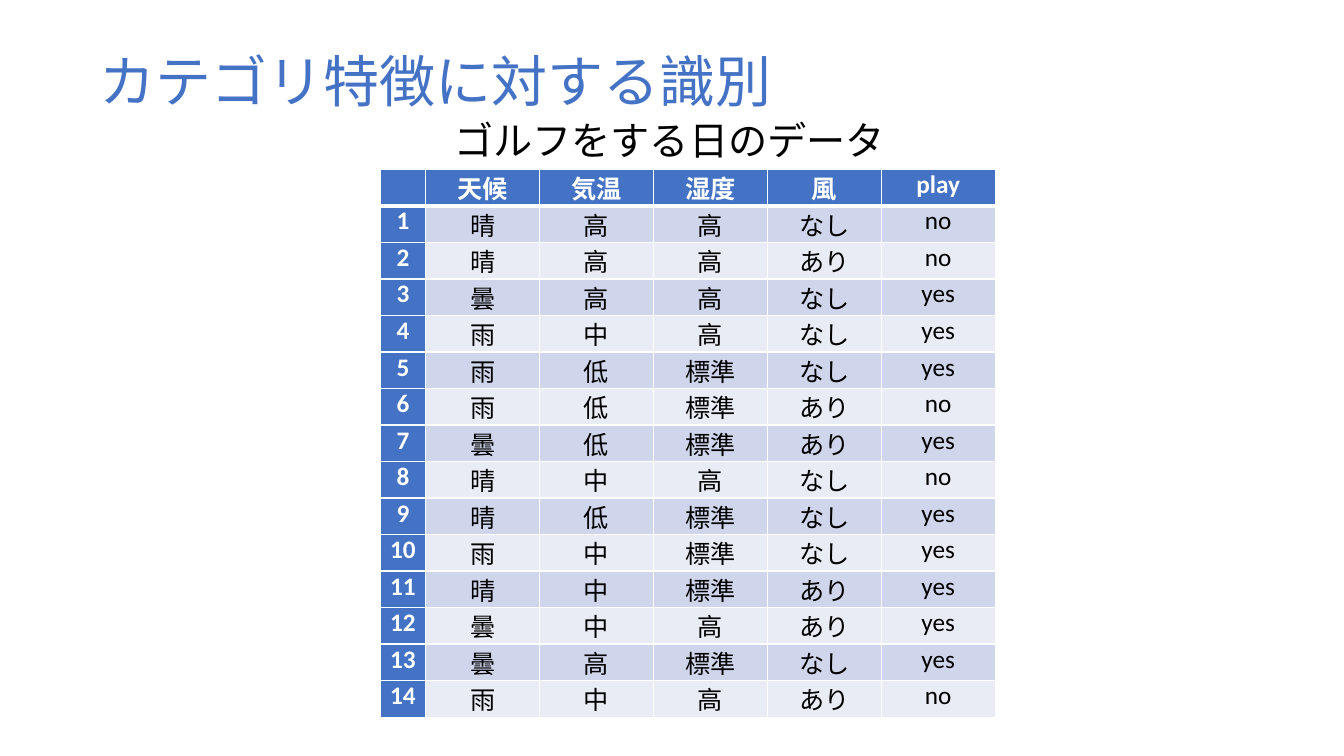
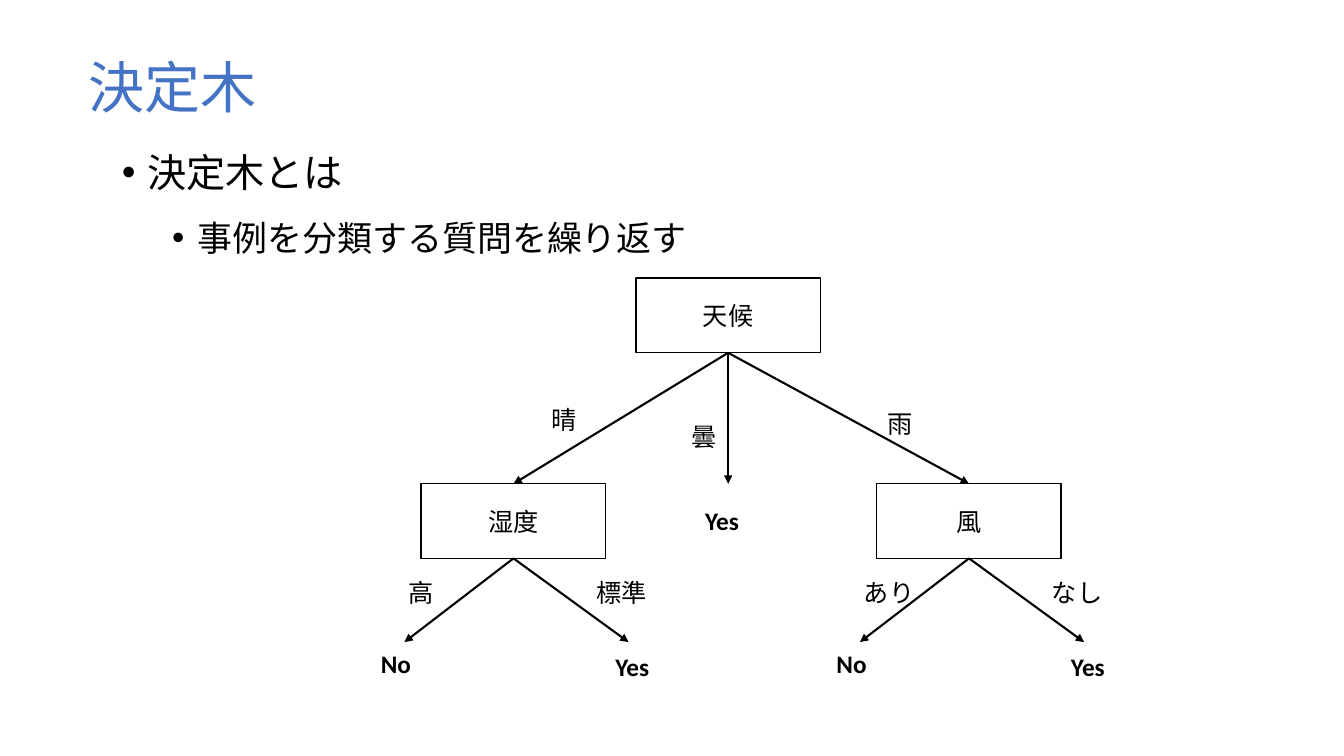
from lxml.etree import SubElement
from pptx import Presentation
from pptx.dml.color import RGBColor
from pptx.enum.shapes import MSO_CONNECTOR, MSO_SHAPE
from pptx.enum.text import MSO_ANCHOR, MSO_AUTO_SIZE, PP_ALIGN
from pptx.oxml.ns import qn
from pptx.util import Cm, Pt

BLUE = RGBColor(0x44, 0x72, 0xC4)
BAND_DARK = RGBColor(0xCF, 0xD5, 0xEA)
BAND_LIGHT = RGBColor(0xE9, 0xEB, 0xF5)
WHITE = RGBColor(0xFF, 0xFF, 0xFF)
BLACK = RGBColor(0, 0, 0)
LATIN_FONT = "Calibri"
JAPANESE_FONT = "Noto Sans CJK JP"

HEADER = ["", "天候", "気温", "湿度", "風", "play"]
GOLF_DAYS = """晴 高 高 なし no
晴 高 高 あり no
曇 高 高 なし yes
雨 中 高 なし yes
雨 低 標準 なし yes
雨 低 標準 あり no
曇 低 標準 あり yes
晴 中 高 なし no
晴 低 標準 なし yes
雨 中 標準 なし yes
晴 中 標準 あり yes
曇 中 高 あり yes
曇 高 標準 なし yes
雨 中 高 あり no"""

NODE_WIDTH, NODE_HEIGHT = 4.65, 1.88
ANSWER_WIDTHS = {"Yes": 1.68, "No": 1.4}


# Shared text and page parts
def write(para, text, size=18, color=BLACK, bold=False, font=LATIN_FONT, align=None):
    para.alignment = align
    span = para.add_run()
    span.text = text
    span.font.size = Pt(size)
    span.font.bold = bold
    span.font.color.rgb = color
    span.font.name = font
    east_asian = SubElement(span.font._element, qn("a:ea"))
    east_asian.set("typeface", JAPANESE_FONT)
    return para


def add_page(deck, title, left, top, height):
    page = deck.slides.add_slide(deck.slide_layouts[5])
    box = page.shapes.title
    box.left, box.top, box.width, box.height = Cm(left), Cm(top), Cm(21.9), Cm(height)
    frame = box.text_frame
    frame.vertical_anchor = MSO_ANCHOR.MIDDLE
    frame.auto_size = MSO_AUTO_SIZE.NONE
    para = write(frame.paragraphs[0], title, size=40, color=BLUE,
                 font=JAPANESE_FONT, align=PP_ALIGN.LEFT)
    para.line_spacing = 0.9
    return page


def add_label(page, text, left, top, width, height=1.02, anchor=MSO_ANCHOR.TOP, **style):
    box = page.shapes.add_textbox(Cm(left), Cm(top), Cm(width), Cm(height))
    frame = box.text_frame
    frame.word_wrap = False
    frame.auto_size = MSO_AUTO_SIZE.SHAPE_TO_FIT_TEXT
    frame.vertical_anchor = anchor
    write(frame.paragraphs[0], text, **style)


# Table of golf days
def set_borders(cell, widths):
    properties = cell._tc.get_or_add_tcPr()
    for side, width in zip("LRTB", widths):
        line = SubElement(properties, qn(f"a:ln{side}"), w=str(Pt(width)))
        fill = SubElement(line, qn("a:solidFill"))
        SubElement(fill, qn("a:srgbClr"), val=str(WHITE))


def add_golf_table(page, left, top, width, height):
    rows = [HEADER]
    for number, day in enumerate(GOLF_DAYS.splitlines(), start=1):
        rows.append([str(number)] + day.split())
    table = page.shapes.add_table(len(rows), len(HEADER), Cm(left), Cm(top),
                                  Cm(width), Cm(height)).table
    number_width = 1.15
    value_width = (width - number_width) / (len(HEADER) - 1)
    for index, column in enumerate(table.columns):
        column.width = Cm(value_width if index else number_width)
    for row_index, values in enumerate(rows):
        table.rows[row_index].height = Cm(height / len(rows))
        for column_index, value in enumerate(values):
            cell = table.cell(row_index, column_index)
            is_heading = row_index == 0 or column_index == 0
            band = BAND_DARK if row_index % 2 else BAND_LIGHT
            set_borders(cell, (1, 1, 3 if row_index == 1 else 1, 1 if row_index else 3))
            cell.fill.solid()
            cell.fill.fore_color.rgb = BLUE if is_heading else band
            cell.margin_left = cell.margin_right = Cm(0.18)
            cell.margin_top = cell.margin_bottom = 0
            if value:
                write(cell.text_frame.paragraphs[0], value, bold=is_heading,
                      color=WHITE if is_heading else BLACK, align=PP_ALIGN.CENTER)


# Bulleted text
def add_bullets(page, items, left, top, width, height):
    box = page.shapes.add_textbox(Cm(left), Cm(top), Cm(width), Cm(height))
    frame = box.text_frame
    frame.word_wrap = True
    for level, (text, size, space) in enumerate(items):
        para = frame.add_paragraph() if level else frame.paragraphs[0]
        write(para, text, size=size, font=JAPANESE_FONT)
        para.level = level
        para.line_spacing = Pt(40)
        para.space_before = Pt(space)
        properties = para._p.get_or_add_pPr()
        properties.set("marL", str(Cm(0.64 + 1.27 * level)))
        properties.set("indent", str(Cm(-0.64)))
        SubElement(properties, qn("a:buFont"), typeface="Arial")
        SubElement(properties, qn("a:buChar"), char="•")


# Decision tree
def add_node(page, text, center, top):
    box = page.shapes.add_shape(MSO_SHAPE.RECTANGLE, Cm(center - NODE_WIDTH / 2), Cm(top),
                                Cm(NODE_WIDTH), Cm(NODE_HEIGHT))
    box.shadow.inherit = False
    box.fill.background()
    box.line.color.rgb = BLACK
    box.line.width = Pt(1)
    box.text_frame.vertical_anchor = MSO_ANCHOR.MIDDLE
    write(box.text_frame.paragraphs[0], text, align=PP_ALIGN.CENTER)


def add_arrow(page, start_x, start_y, end_x, end_y):
    arrow = page.shapes.add_connector(MSO_CONNECTOR.STRAIGHT, Cm(start_x), Cm(start_y),
                                      Cm(end_x), Cm(end_y))
    arrow.line.color.rgb = BLACK
    arrow.line.width = Pt(1.5)
    SubElement(arrow.line._get_or_add_ln(), qn("a:tailEnd"), type="triangle")
    SubElement(arrow._element.spPr, qn("a:effectLst"))


def add_branch(page, x, y, tip, label, label_at):
    """Draw an arrow from (x, y) with its label; offsets are relative to that point."""
    add_arrow(page, x, y, x + tip[0], y + tip[1])
    add_label(page, label, x + label_at[0], y + label_at[1], 0.5 + 0.65 * len(label))


def add_answer(page, text, left, top):
    add_label(page, text, left, top, ANSWER_WIDTHS[text], bold=True)


def add_subtree(page, question, no_label, yes_label, center, top):
    add_node(page, question, center, top)
    bottom = top + NODE_HEIGHT
    add_branch(page, center, bottom, (-2.75, 2.11), no_label, (-2.9, 0.36))
    add_branch(page, center, bottom, (2.9, 2.11), yes_label, (1.84, 0.36))
    add_answer(page, "No", center - 3.59, bottom + 2.13)
    add_answer(page, "Yes", center + 2.32, bottom + 2.21)


def add_decision_tree(page, center, top):
    add_node(page, "天候", center, top)
    bottom = top + NODE_HEIGHT
    drop, left_reach, right_reach = 3.3, -5.41, 6.07
    add_branch(page, center, bottom, (left_reach, drop), "晴", (-4.71, 1.17))
    add_branch(page, center, bottom, (0, drop), "曇", (-1.18, 1.6))
    add_branch(page, center, bottom, (right_reach, drop), "雨", (3.77, 1.27))
    add_answer(page, "Yes", center - 0.83, bottom + 3.73)
    add_subtree(page, "湿度", "高", "標準", center + left_reach, bottom + drop)
    add_subtree(page, "風", "あり", "なし", center + right_reach, bottom + drop)


# Slides
def build_data_page(deck):
    page = add_page(deck, "カテゴリ特徴に対する識別", 2.26, 1.07, 2.13)
    add_golf_table(page, 9.58, 4.27, 15.5, 13.18)
    add_label(page, "ゴルフをする日のデータ", 11.2, 2.79, 11.48, 1.45,
              anchor=MSO_ANCHOR.MIDDLE, size=28)


def build_tree_page(deck):
    page = add_page(deck, "決定木", 1.98, 1.17, 2.2)
    items = [("決定木とは", 28, 10), ("事例を分類する質問を繰り返す", 25, 5)]
    add_bullets(page, items, 2.82, 3.38, 22.48, 12.85)
    add_decision_tree(page, 18.35, 7.01)


def main():
    deck = Presentation()
    deck.slide_width, deck.slide_height = Cm(33.87), Cm(19.05)
    build_data_page(deck)
    build_tree_page(deck)
    deck.save("out.pptx")


if __name__ == "__main__":
    main()
